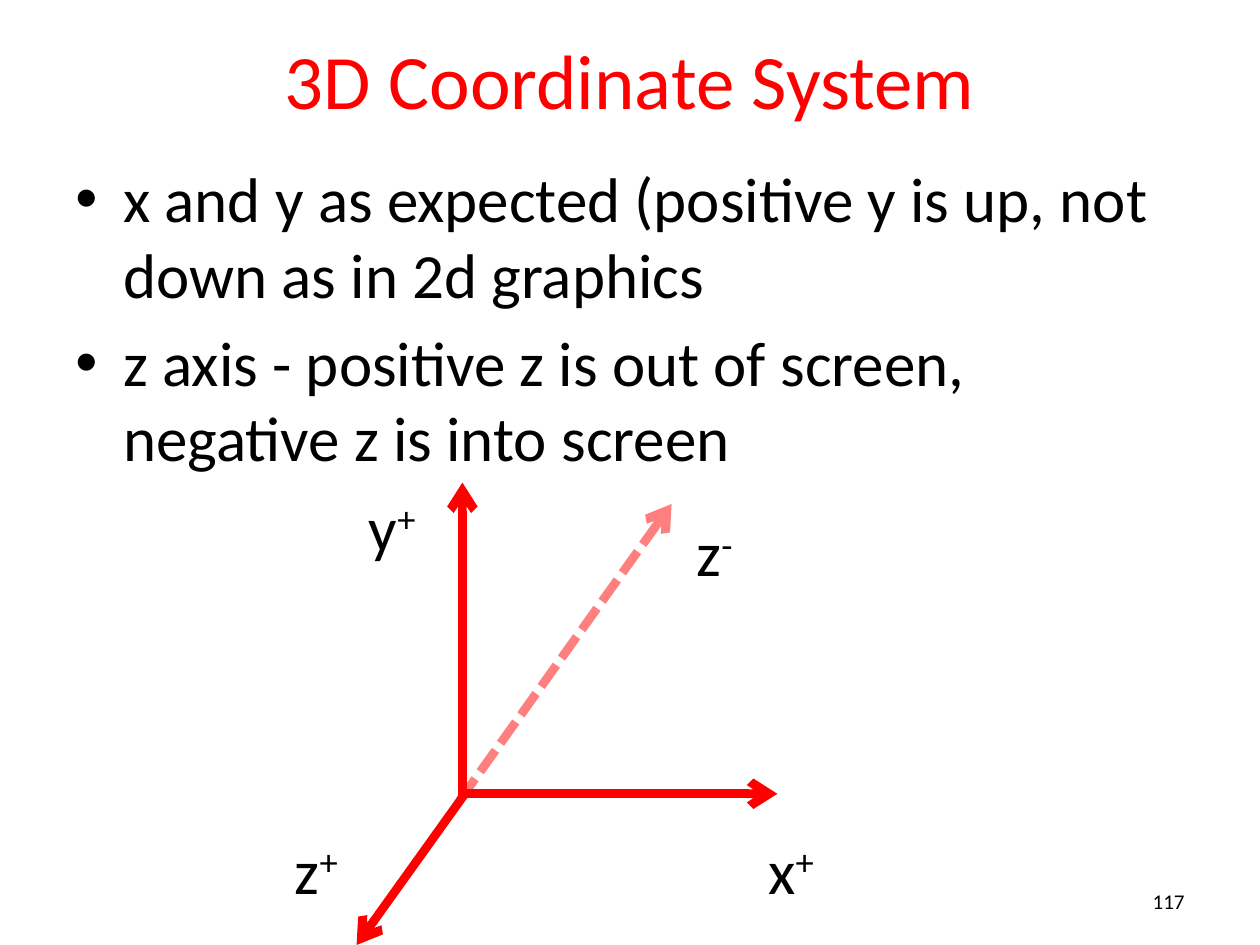
from dataclasses import dataclass

from lxml import etree
from pptx import Presentation
from pptx import util as u
from pptx.dml.color import RGBColor
from pptx.enum import dml, shapes, text
from pptx.oxml import ns

PX = 9144  # EMU per px, 100 px to the inch


@dataclass(frozen=True)
class Theme:
    font: str = "Calibri"
    ink: RGBColor = RGBColor(0, 0, 0)
    red: RGBColor = RGBColor(255, 0, 0)
    title: int = 44
    body: int = 36
    note: int = 12
    line: int = 5


@dataclass(frozen=True)
class Box:
    left: int
    top: int
    width: int
    height: int


@dataclass(frozen=True)
class Axis:
    start: tuple[int, int]
    end: tuple[int, int]
    alpha: int = 100


@dataclass(frozen=True)
class Label:
    name: str
    sign: str
    box: Box


THEME = Theme()
TITLE = Box(50, 0, 900, 125)
BODY = Box(50, 122, 900, 570)
NUMBER = Box(717, 695, 233, 40)
BULLETS = (
    "x and y as expected (positive y is up, not down as in 2d graphics",
    "z axis - positive z is out of screen, negative z is into screen",
)
INDENT = 38
AXES = (
    Axis((367, 633), (367, 383)),
    Axis((367, 630), (617, 630)),
    Axis((369, 630), (283, 750)),
    Axis((365, 635), (533, 400), alpha=49),
)
LABELS = (
    Label("y", "+", Box(283, 383, 60, 71)),
    Label("x", "+", Box(600, 655, 60, 71)),
    Label("z", "+", Box(224, 655, 57, 71)),
    Label("z", "-", Box(543, 403, 51, 71)),
)


def px(*values: int) -> list[u.Emu]:
    return [u.Emu(v * PX) for v in values]


def apply(target, values: dict) -> None:
    for name, value in values.items():
        setattr(target, name, value)


def add(parent, tag: str, **attrs: str):
    """Append a DrawingML element and return it."""
    return etree.SubElement(parent, ns.qn(tag), attrs)


def style(font, size: int, color: RGBColor) -> None:
    apply(font, {"name": THEME.font, "size": u.Pt(size)})
    font.color.rgb = color


def frame(slide, box: Box, **values):
    area = slide.shapes.add_textbox(
        *px(box.left, box.top, box.width, box.height)).text_frame
    apply(area, {"word_wrap": True, **values})
    return area


def write(slide, box: Box, words: str, size: int, color: RGBColor, align) -> None:
    """Place one vertically centred line of text."""
    area = frame(slide, box, vertical_anchor=text.MSO_ANCHOR.MIDDLE)
    para = area.paragraphs[0]
    apply(para, {"text": words, "alignment": align})
    style(para.runs[0].font, size, color)


def bullets(slide) -> None:
    area = frame(slide, BODY)
    for i, words in enumerate(BULLETS):
        para = area.add_paragraph() if i else area.paragraphs[0]
        para.text = words
        if i:
            para.space_before = u.Pt(THEME.body // 5)
        props = para._p.get_or_add_pPr()
        props.set("marL", str(INDENT * PX))
        props.set("indent", str(-INDENT * PX))
        add(props, "a:buFont", typeface="Arial")
        add(props, "a:buChar", char="•")
        style(para.runs[0].font, THEME.body, THEME.ink)


def arrow(slide, axis: Axis) -> None:
    link = slide.shapes.add_connector(
        shapes.MSO_CONNECTOR.STRAIGHT, *px(*axis.start, *axis.end))
    link.line.color.rgb = THEME.red
    link.line.width = u.Pt(THEME.line)
    props = link.line._ln
    if axis.alpha < 100:
        link.line.dash_style = dml.MSO_LINE.SQUARE_DOT
        color = props.find(".//" + ns.qn("a:srgbClr"))
        add(color, "a:alpha", val=str(axis.alpha * 1000))
    add(props, "a:tailEnd", type="arrow")
    add(link._element.spPr, "a:effectLst")


def label(slide, item: Label) -> None:
    area = frame(slide, item.box, word_wrap=False,
                 auto_size=text.MSO_AUTO_SIZE.SHAPE_TO_FIT_TEXT)
    for part in (item.name, item.sign):
        run = area.paragraphs[0].add_run()
        run.text = part
        style(run.font, THEME.body, THEME.ink)
    run.font._element.set("baseline", "30000")


def main() -> None:
    deck = Presentation()
    wide, high = px(1000, 750)
    apply(deck, {"slide_width": wide, "slide_height": high})
    slide = deck.slides.add_slide(deck.slide_layouts[6])
    write(slide, TITLE, "3D Coordinate System", THEME.title, THEME.red,
          text.PP_ALIGN.CENTER)
    bullets(slide)
    write(slide, NUMBER, "117", THEME.note, THEME.ink, text.PP_ALIGN.RIGHT)
    for axis in AXES:
        arrow(slide, axis)
    for item in LABELS:
        label(slide, item)
    deck.save("out.pptx")


if __name__ == "__main__":
    main()
